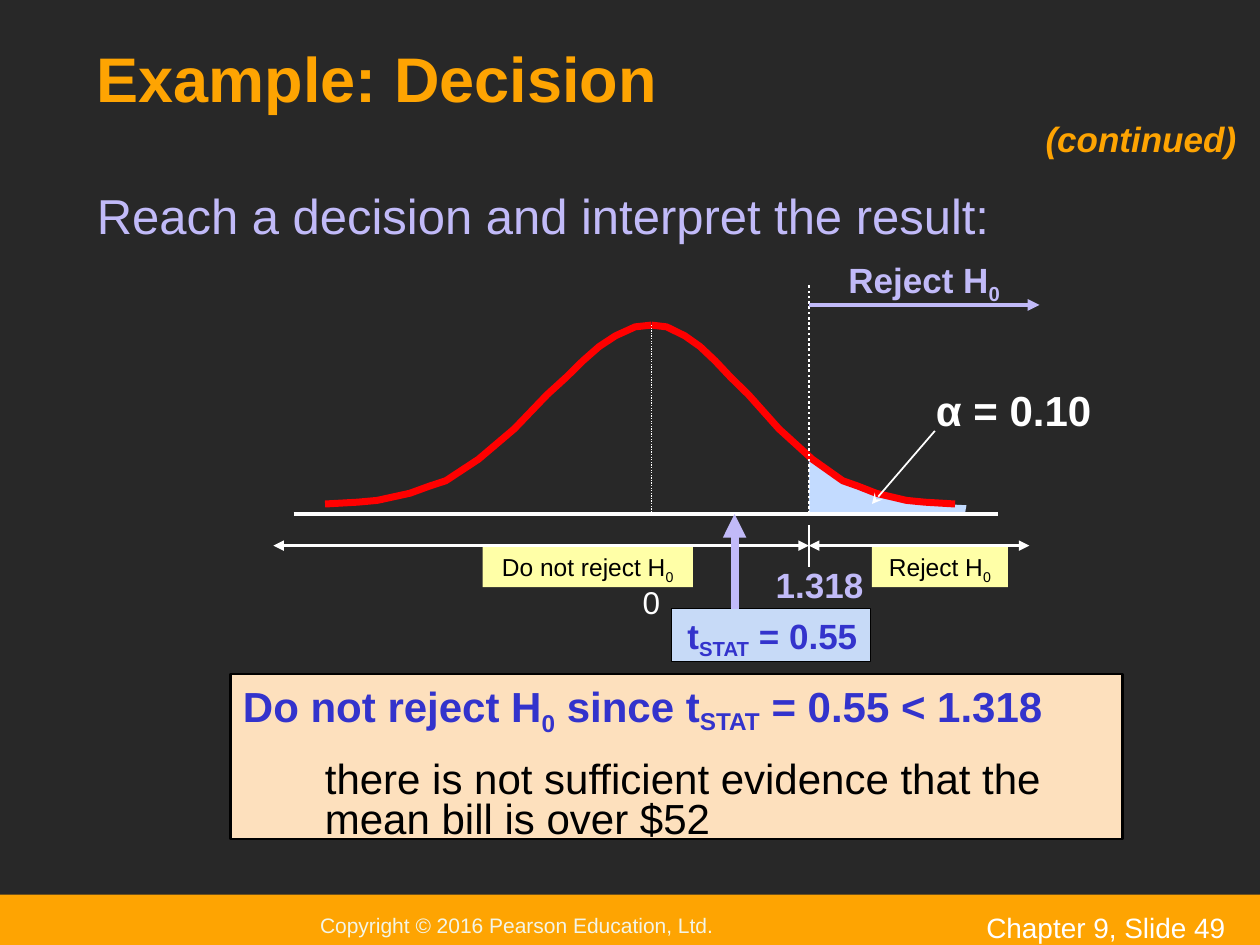
from dataclasses import dataclass

from pptx import Presentation
from pptx import util as u
from pptx.dml.color import RGBColor
from pptx.enum import dml, shapes, text
from pptx.oxml import ns, xmlchemy


@dataclass(frozen=True)
class Theme:
    font: str = "Arial"
    background: str = "282828"
    orange: str = "FEA402"
    lilac: str = "C1BAF8"
    blue: str = "3333CC"
    red: str = "FF0000"
    white: str = "FFFFFF"
    black: str = "000000"
    cream: str = "F3F5E7"
    yellow: str = "FFFFA7"
    pale_blue: str = "C7DAF7"
    tail_blue: str = "C3DBFF"
    peach: str = "FDE0BD"
    title: int = 36
    body: int = 28
    large: int = 24
    label: int = 20
    axis: int = 18
    number: int = 16
    small: int = 14
    footer: int = 12


@dataclass(frozen=True)
class Box:
    left: float
    top: float
    width: float
    height: float

    def at(self, x, y):
        return u.Inches(self.left + x), u.Inches(self.top + y)

    def inner(self, x, y, width, height):
        return Box(self.left + x, self.top + y, width, height)

    def lengths(self):
        return [u.Inches(n) for n in (self.left, self.top, self.width, self.height)]


THEME = Theme()
# Mirrored half of the bell curve, from the tail (0, 0) to the peak (1, 1)
HALF_BELL = [(0, 0), (0.1, 0.01), (0.16, 0.02), (0.21, 0.04), (0.26, 0.06),
             (0.32, 0.1), (0.37, 0.13), (0.47, 0.25), (0.58, 0.42), (0.68, 0.61),
             (0.74, 0.71), (0.79, 0.8), (0.84, 0.88), (0.89, 0.94),
             (0.95, 0.99), (1, 1)]


def rgb(colour):
    return RGBColor.from_string(colour)


def set_line(line, colour, width):
    line.color.rgb = rgb(colour)
    line.width = u.Pt(width)


def add_runs(para, spans, size, colour, bold=False, italic=False):
    """Each span is a string, or (string, baseline percent) for a subscript."""
    for item in spans:
        words, baseline = item if isinstance(item, tuple) else (item, 0)
        span = para.add_run()
        span.text = words
        font = span.font
        font.name, font.size = THEME.font, u.Pt(size)
        font.bold, font.italic = bold, italic
        font.color.rgb = rgb(colour)
        if baseline:
            span._r.get_or_add_rPr().set("baseline", str(baseline * 1000))


def add_text(page, box, spans, size, colour, align=text.PP_ALIGN.LEFT, wrap=True,
             **style):
    shape = page.shapes.add_textbox(*box.lengths())
    frame = shape.text_frame
    frame.word_wrap = wrap
    frame.paragraphs[0].alignment = align
    add_runs(frame.paragraphs[0], spans, size, colour, **style)
    return frame


def add_rect(page, box, fill, border=0):
    shape = page.shapes.add_shape(shapes.MSO_SHAPE.RECTANGLE, *box.lengths())
    shape.shadow.inherit = False
    shape.fill.solid()
    shape.fill.fore_color.rgb = rgb(fill)
    if border:
        set_line(shape.line, THEME.black, border)
    else:
        shape.line.fill.background()
    shape.text_frame.vertical_anchor = text.MSO_ANCHOR.TOP
    shape.text_frame.paragraphs[0].alignment = text.PP_ALIGN.LEFT
    return shape


def add_line(page, box, start, end, colour, width, head=None, tail=None, dotted=False):
    line = page.shapes.add_connector(
        shapes.MSO_CONNECTOR.STRAIGHT, *box.at(*start), *box.at(*end))
    set_line(line.line, colour, width)
    if dotted:
        line.line.dash_style = dml.MSO_LINE.ROUND_DOT
    outline = line.line._get_or_add_ln()
    for tag, kind in (("a:headEnd", head), ("a:tailEnd", tail)):
        if kind:
            end_mark = xmlchemy.OxmlElement(tag)
            end_mark.set("type", kind)
            outline.append(end_mark)
    line._element.spPr.append(line._element.makeelement(ns.qn("a:effectLst")))


def add_outline(page, box, points, close):
    corners = [box.at(x, y) for x, y in points]
    builder = page.shapes.build_freeform(*corners[0])
    builder.add_line_segments(corners[1:], close=close)
    shape = builder.convert_to_shape()
    shape.shadow.inherit = False
    return shape


def footer(page, box):
    bar = add_rect(page, box, THEME.orange)
    frame = bar.text_frame
    frame.vertical_anchor = text.MSO_ANCHOR.MIDDLE
    frame.margin_left = u.Inches(2.54)
    frame.margin_right = frame.margin_top = frame.margin_bottom = 0
    add_runs(frame.paragraphs[0], ["Copyright © 2016 Pearson Education, Ltd."],
             THEME.footer, THEME.cream)
    add_text(page, box.inner(7.73, 0.08, 2.33, 0.26), ["Chapter 9, Slide 49"],
             THEME.number, THEME.white)


def heading(page, box):
    frame = add_text(page, box.inner(0, 0, 8.67, 1.08), ["Example: Decision"],
                     THEME.title, THEME.orange, bold=True)
    frame.vertical_anchor = text.MSO_ANCHOR.BOTTOM
    add_text(page, box.inner(7.53, 1, 1.73, 0.44), ["(continued)"],
             THEME.label, THEME.orange, wrap=False, bold=True, italic=True)
    add_text(page, box.inner(0, 1.54, 8.83, 0.6),
             ["Reach a decision and interpret the result:"], THEME.body, THEME.lilac)


def distribution(page, box):
    """Bell curve with its rejection region, axis and labels."""
    centre = text.PP_ALIGN.CENTER
    axis, mean, critical, arrows = 2.08, 3, 4.25, 2.33

    # Region names under the axis
    for x, width, name in ((4.75, 1.08, "Reject H"), (1.66, 1.67, "Do not reject H")):
        plate = add_rect(page, box.inner(x, arrows, width, 0.33), THEME.yellow)
        para = plate.text_frame.paragraphs[0]
        para.alignment = centre
        add_runs(para, [name, ("0", -25)], THEME.small, THEME.black)
    add_rect(page, box.inner(3.16, 2.83, 1.58, 0.42), THEME.pale_blue, 0.75)

    # Shaded tail
    tail = add_outline(page, box, [
        (5.49, 2.07), (5.5, 2.01), (5.1, 1.99), (4.83, 1.92), (4.58, 1.84),
        (critical, 1.63), (critical, axis), (5.49, axis)], True)
    tail.fill.solid()
    tail.fill.fore_color.rgb = rgb(THEME.tail_blue)
    tail.line.fill.background()

    # Both halves of the curve
    for start in (0.41, 5.41):
        half = add_outline(page, box, [
            (start + (mean - start) * x, 2 - 1.42 * y) for x, y in HALF_BELL], False)
        half.fill.background()
        set_line(half.line, THEME.red, 4)

    # Axis, mean, critical value and arrows
    add_line(page, box, (0.16, axis), (5.75, axis), THEME.white, 2)
    add_line(page, box, (5.25, 1.42), (4.75, 2), THEME.white, 1, tail="stealth")
    add_line(page, box, (mean, 0.58), (mean, axis), THEME.white, 0.75, dotted=True)
    add_line(page, box, (critical, 2.17), (critical, 2.5), THEME.white, 1.5)
    for start, end in ((critical, 6), (0, critical)):
        add_line(page, box, (start, arrows), (end, arrows), THEME.white, 1.5,
                 head="triangle", tail="triangle")
    add_line(page, box, (critical, axis), (critical, 0.25), THEME.white, 1.5, dotted=True)
    add_line(page, box, (critical, 0.42), (6.08, 0.42), THEME.lilac, 2.25, tail="triangle")
    add_line(page, box, (3.66, 2.83), (3.66, axis), THEME.lilac, 4.5, tail="triangle")

    # Labels
    add_text(page, box.inner(5.16, 1, 1.5, 0.5), ["α = 0.10"],
             THEME.large, THEME.white, bold=True)
    add_text(page, box.inner(2.75, 2.58, 0.5, 0.4), ["0"], THEME.axis, THEME.white, centre)
    for x, y, width, spans, colour in (
            (3.75, 2.42, 1.17, ["1.318"], THEME.lilac),
            (4.33, 0, 1.67, ["Reject H", ("0", -25)], THEME.lilac),
            (3, 2.83, 1.92, ["t", ("STAT", -20), " = 0.55"], THEME.blue)):
        add_text(page, box.inner(x, y, width, 0.43), spans, THEME.label, colour,
                 centre, bold=True)


def conclusion(page, box):
    frame = add_rect(page, box, THEME.peach, 1.5).text_frame
    frame.word_wrap = True
    add_runs(frame.paragraphs[0],
             ["Do not reject H", ("0", -25), " since t", ("STAT", -20),
              " = 0.55 < 1.318"], THEME.large, THEME.blue, bold=True)
    for words, gap in (("there is not sufficient evidence that the", 14),
                       ("mean bill is over $52", 0)):
        para = frame.add_paragraph()
        para.alignment = text.PP_ALIGN.LEFT
        para.line_spacing, para.space_before = 0.8, u.Pt(gap)
        para._p.get_or_add_pPr().set("marL", str(u.Inches(0.65)))
        add_runs(para, [words], THEME.large, THEME.black)


def main():
    deck = Presentation()
    deck.slide_width, deck.slide_height = u.Inches(10), u.Inches(7.5)
    page = deck.slides.add_slide(deck.slide_layouts[6])
    page.background.fill.solid()
    page.background.fill.fore_color.rgb = rgb(THEME.background)
    footer(page, Box(0, 7.1, 10, 0.49))
    heading(page, Box(0.67, -0.12, 9.26, 2.14))
    distribution(page, Box(2.17, 2, 6.66, 3.26))
    conclusion(page, Box(1.83, 5.35, 7.08, 1.31))
    deck.save("out.pptx")


if __name__ == "__main__":
    main()
